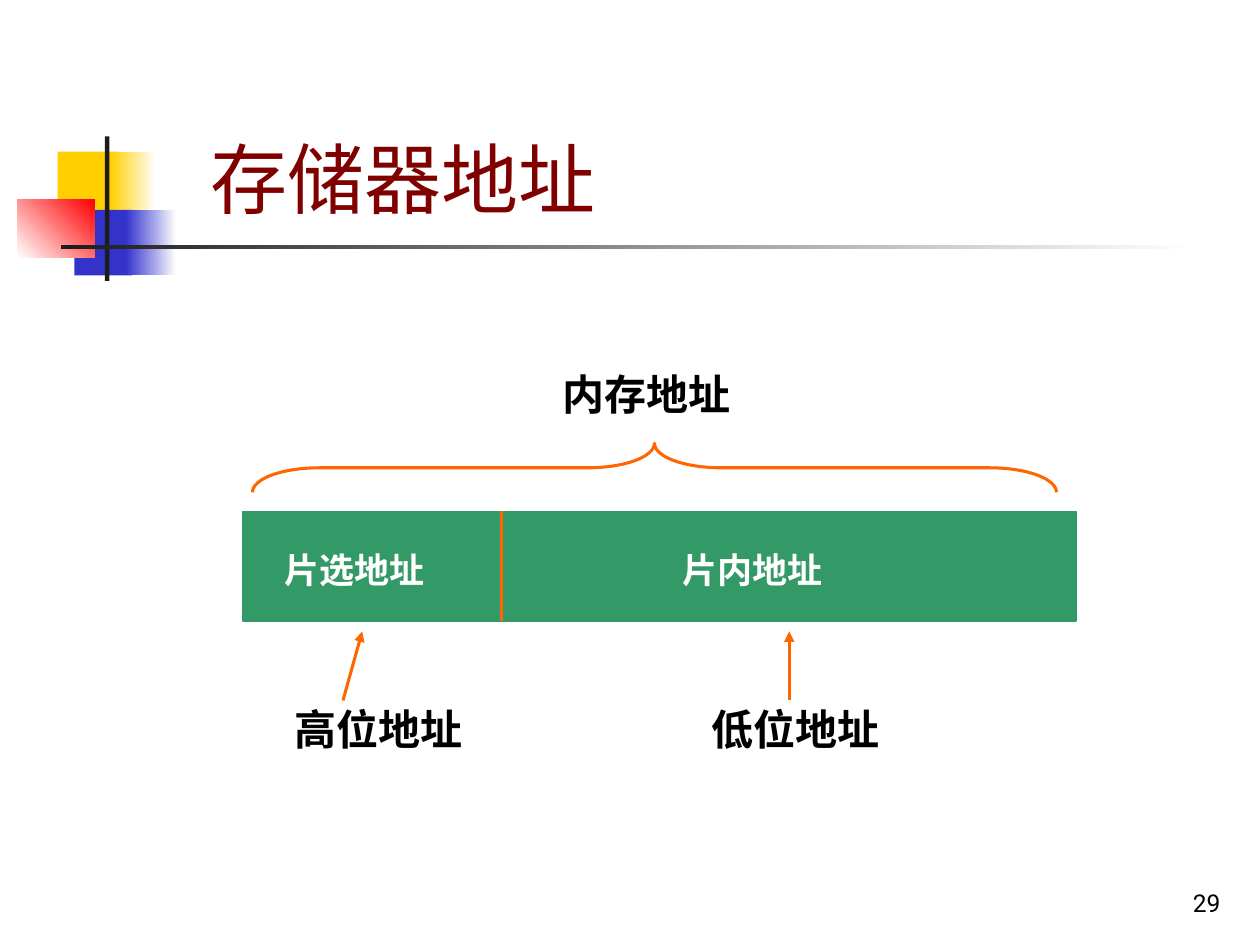
from lxml import etree
from pptx import Presentation
from pptx.dml.color import RGBColor
from pptx.enum.shapes import MSO_CONNECTOR, MSO_SHAPE
from pptx.enum.text import MSO_ANCHOR, MSO_AUTO_SIZE, PP_ALIGN
from pptx.oxml.ns import qn
from pptx.util import Pt

RECT, BRACE = MSO_SHAPE.RECTANGLE, MSO_SHAPE.RIGHT_BRACE
STRAIGHT = MSO_CONNECTOR.STRAIGHT
LEFT, RIGHT = PP_ALIGN.LEFT, PP_ALIGN.RIGHT
TOP, BOTTOM = MSO_ANCHOR.TOP, MSO_ANCHOR.BOTTOM
NO_FIT = MSO_AUTO_SIZE.NONE
BODY_FONT, TITLE_FONT = "Times New Roman", "Roboto"
TITLE_ONLY = 5
COLORS = {
    "yellow": "FFCF01", "blue": "3333CC", "red": "FF0000", "dark": "1C1C1C",
    "white": "FFFFFF", "black": "000000", "title": "800000",
    "green": "339966", "orange": "FF6600",
}


def rgb(name):
    return RGBColor.from_string(COLORS[name])


def add_rect(slide, x, y, w, h, color, end=None, angle=0):
    """Rectangle with a plain fill, or a gradient when end is given."""
    sp = slide.shapes.add_shape(RECT, Pt(x), Pt(y), Pt(w), Pt(h))
    sp.shadow.inherit = False
    sp.line.fill.background()
    if end:
        sp.fill.gradient()
        sp.fill.gradient_angle = angle
        for stop, name in zip(sp.fill.gradient_stops, (color, end)):
            stop.color.rgb = rgb(name)
    else:
        sp.fill.solid()
        sp.fill.fore_color.rgb = rgb(color)
    return sp


def add_line(slide, x1, y1, x2, y2, width, arrow=False):
    line = slide.shapes.add_connector(STRAIGHT, Pt(x1), Pt(y1), Pt(x2), Pt(y2))
    line.line.color.rgb = rgb("orange")
    line.line.width = Pt(width)
    if arrow:
        ln = line.line._get_or_add_ln()
        etree.SubElement(ln, qn("a:tailEnd"), type="triangle")
    etree.SubElement(line._element.spPr, qn("a:effectLst"))


def write(tf, text, size, color, font, align=LEFT, bold=False, anchor=TOP):
    tf.word_wrap = True
    tf.auto_size = NO_FIT
    tf.vertical_anchor = anchor
    p = tf.paragraphs[0]
    p.alignment = align
    r = p.add_run()
    r.text = text
    r.font.size = Pt(size)
    r.font.bold = bold
    r.font.name = font
    r.font.color.rgb = rgb(color)
    return p


def add_label(slide, x, y, w, h, text, size, color):
    sp = slide.shapes.add_textbox(Pt(x), Pt(y), Pt(w), Pt(h))
    p = write(sp.text_frame, text, size, color, BODY_FONT, bold=True)
    p.space_before = Pt(size * 0.625)


def build_ornament(slide, x, y):
    """Overlapping squares crossed by a vertical and a fading bar."""
    add_rect(slide, x + 23, y + 8.6, 34.5, 37.4, "yellow")
    add_rect(slide, x + 53, y + 8.6, 26, 37.4, "yellow", "white")
    add_rect(slide, x + 32.5, y + 42, 33, 37.4, "blue")
    add_rect(slide, x + 62, y + 42, 28.8, 37.4, "blue", "white")
    add_rect(slide, x, y + 36, 44, 33, "white", "red", 45)
    add_rect(slide, x + 50, y, 2.5, 82.5, "dark")
    add_rect(slide, x + 24.8, y + 62, 648, 2.5, "dark", "white")


def build_title(slide, x, y, w, h):
    title = slide.shapes.title
    title.left, title.top, title.width, title.height = Pt(x), Pt(y), Pt(w), Pt(h)
    write(title.text_frame, "存储器地址", 44, "title", TITLE_FONT, anchor=BOTTOM)


def build_address_diagram(slide, x, y, w, h):
    """Address bar split in two fields, with a brace above and arrows below."""
    bar = add_rect(slide, x, y, w, h, "green")
    bar.line.color.rgb = rgb("green")
    bar.line.width = Pt(1)
    add_line(slide, x + 147.5, y, x + 147.5, y + h, 2)

    # Field names inside the bar
    for dx, text in ((16.5, "片选地址"), (244, "片内地址")):
        add_label(slide, x + dx, y + 17.3, 108, 31.5, text, 20, "white")

    # Brace: an upright shape turned to point upwards
    depth, span = 28, 459.5
    cx, cy = x + 235, y - 25
    brace = slide.shapes.add_shape(BRACE, Pt(cx - depth / 2), Pt(cy - span / 2),
                                   Pt(depth), Pt(span))
    brace.rotation = 270
    brace.adjustments[0] = 1.36
    brace.shadow.inherit = False
    brace.fill.background()
    brace.line.color.rgb = rgb("orange")
    brace.line.width = Pt(1.75)
    add_label(slide, x + 175.5, y - 85, 130, 36, "内存地址", 24, "black")

    # Captions with arrows below the bar
    for dx, text, tail, head in ((22.3, "高位地址", 57, 68),
                                 (260.5, "低位地址", 312, 312)):
        add_label(slide, x + dx, y + 106, 140, 36, text, 24, "black")
        add_line(slide, x + tail, y + 108, x + head, y + 68.5, 1.75, arrow=True)


def build_page_number(slide, x, y, w, h):
    sp = slide.shapes.add_textbox(Pt(x), Pt(y), Pt(w), Pt(h))
    write(sp.text_frame, "29", 14, "black", TITLE_FONT, RIGHT, anchor=BOTTOM)


def main():
    prs = Presentation()
    prs.slide_width, prs.slide_height = Pt(720), Pt(540)
    slide = prs.slides.add_slide(prs.slide_layouts[TITLE_ONLY])
    build_ornament(slide, 10, 78)
    build_title(slide, 113, 16.5, 389, 115)
    build_address_diagram(slide, 139, 292.3, 476, 62.7)
    build_page_number(slide, 554.5, 492, 150, 36)
    prs.save("out.pptx")


if __name__ == "__main__":
    main()
